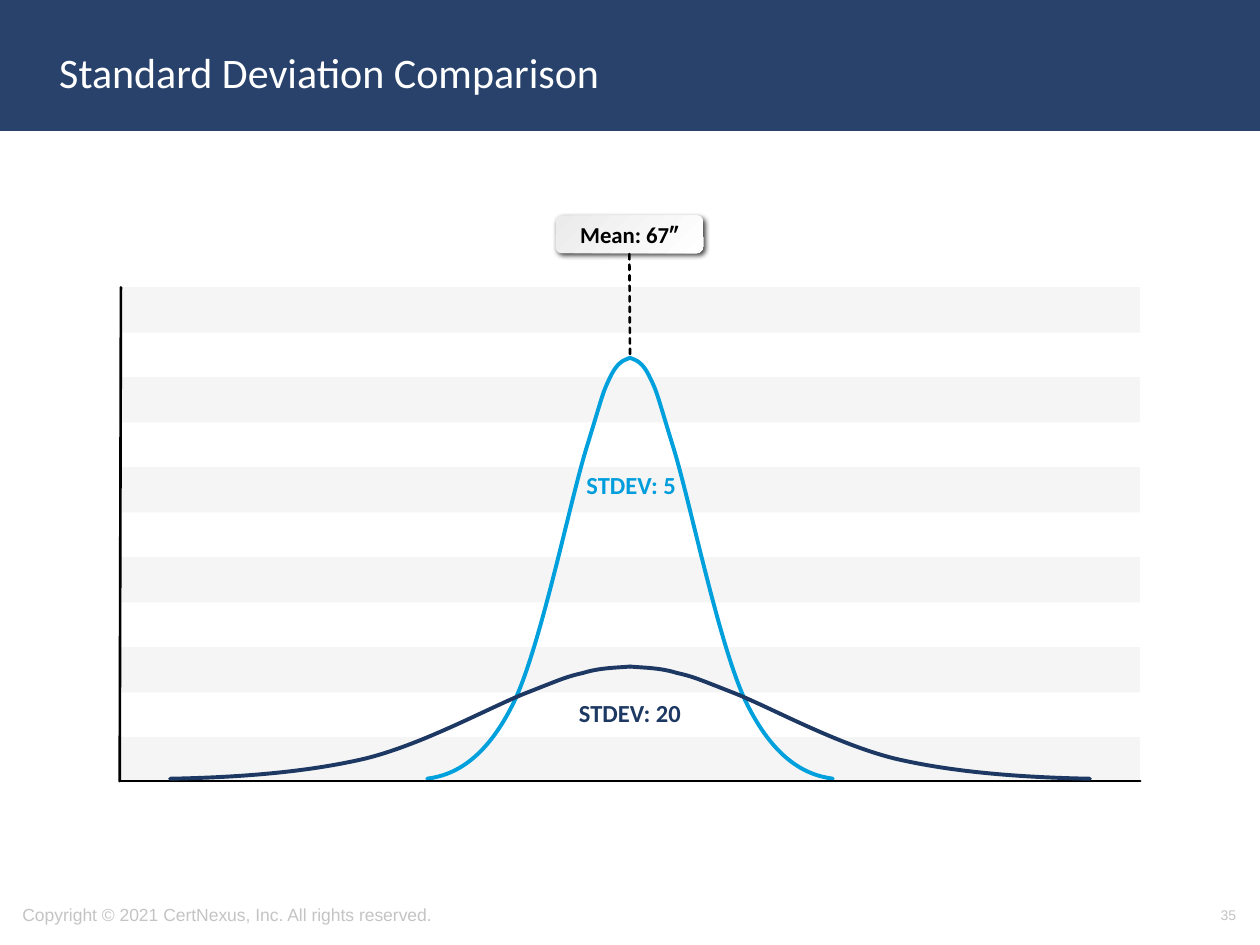
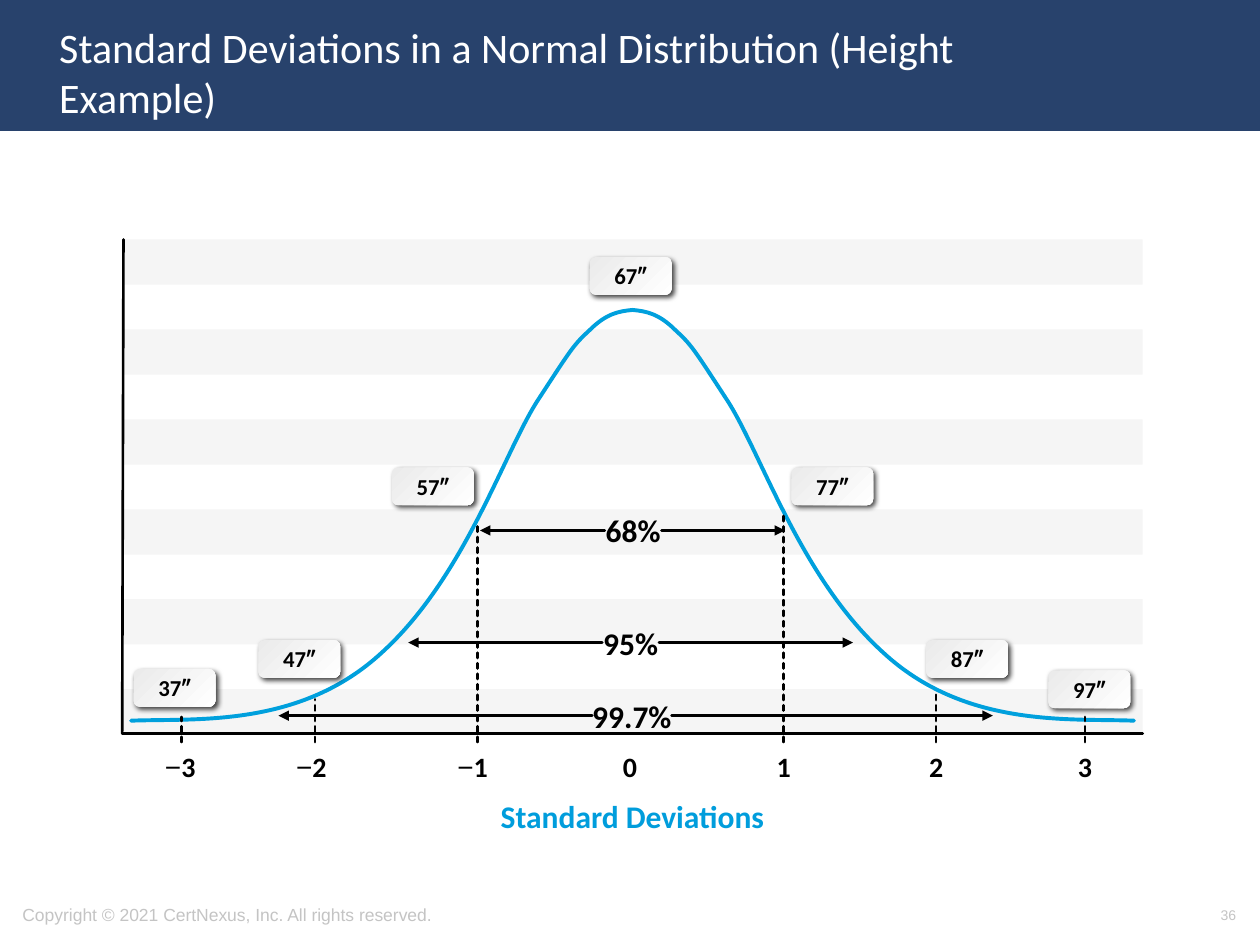
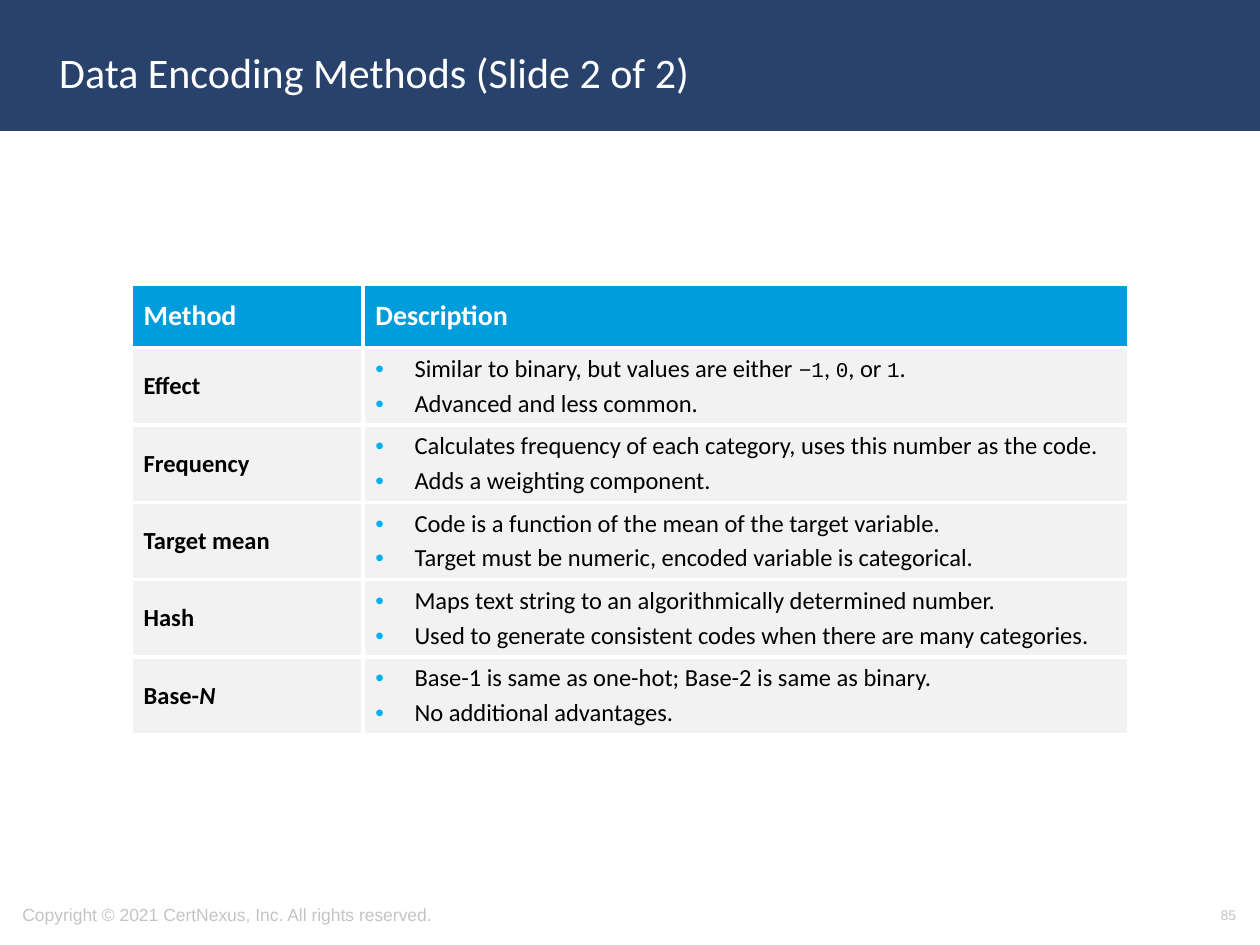
from lxml.etree import SubElement
from pptx import Presentation
from pptx.dml.color import RGBColor
from pptx.enum.dml import MSO_LINE
from pptx.enum.shapes import MSO_CONNECTOR, MSO_SHAPE
from pptx.enum.text import MSO_ANCHOR, MSO_AUTO_SIZE, PP_ALIGN
from pptx.oxml.ns import qn
from pptx.util import Inches, Pt

WHITE = RGBColor(0xFF, 0xFF, 0xFF)
BLACK = RGBColor(0, 0, 0)
BAND = RGBColor(0x28, 0x42, 0x6C)
NAVY = RGBColor(0x1C, 0x38, 0x63)
BLUE = RGBColor(0x00, 0x9D, 0xDC)
CURVE_BLUE = RGBColor(0x00, 0xA0, 0xDD)
BULLET_BLUE = RGBColor(0x00, 0xB0, 0xF0)
FOOTER_GREY = RGBColor(0xC4, 0xC4, 0xC4)
BADGE_GREY = RGBColor(0xEB, 0xEB, 0xEB)
CELL_GREY = RGBColor(0xF2, 0xF2, 0xF2)

BODY_FONT = "Calibri"
COPYRIGHT = "Copyright © 2021 CertNexus, Inc. All rights reserved."
MINUS = ("−", {"name": "Arial", "bold": False})
PLOT_WIDTH, PLOT_HEIGHT = 8.1, 3.92
STRIPE_COUNT, STRIPE_HEIGHT, STRIPE_REACH = 6, 0.36, 3.57
BADGE_HEIGHT = 0.3
TABLE_HEIGHT, HEADER_HEIGHT = 3.57, 0.5

NARROW_CURVE = [(3.39, 6.18), (3.63, 6.15), (3.87, 6), (4.08, 5.57), (4.29, 5.13), (4.52, 4),
                (4.65, 3.57), (4.78, 3.15), (4.78, 3.12), (4.84, 3), (4.9, 2.87), (4.95, 2.86),
                (5, 2.84)]
WIDE_CURVE = [(1.35, 6.18), (1.89, 6.17), (2.43, 6.13), (2.9, 6.02), (3.38, 5.9), (3.91, 5.6),
              (4.2, 5.49), (4.48, 5.38), (4.5, 5.37), (4.63, 5.34), (4.76, 5.3), (4.88, 5.3),
              (5, 5.29)]
HEIGHT_CURVE = [(1.04, 5.72), (1.55, 5.7), (2.38, 5.78), (3.03, 5.18), (3.68, 4.59), (3.99, 3.62),
                (4.26, 3.19), (4.54, 2.76), (4.55, 2.74), (4.68, 2.62), (4.81, 2.49), (4.91, 2.47),
                (5.02, 2.46)]
HEIGHT_BADGES = [("67″", 4.68, 2.04), ("57″", 3.11, 3.71), ("77″", 6.28, 3.71), ("47″", 2.05, 5.08),
                 ("87″", 7.35, 5.08), ("37″", 1.06, 5.31), ("97″", 8.32, 5.32)]
TICK_LABELS = [([MINUS, "3"], 1.43), ([MINUS, "2"], 2.47), ([MINUS, "1"], 3.75), (["0"], 5),
               (["1"], 6.22), (["2"], 7.43), (["3"], 8.61)]
DEVIATION_MARKS = [(1.44, 5.69), (2.5, 5.55), (3.79, 4.15), (6.22, 4.09), (7.43, 5.5), (8.61, 5.69)]
RANGES = [("68%", 4.21, 3.81, 4.8, 5.25, 6.23), ("95%", 5.1, 3.24, 4.78, 5.23, 6.77),
          ("99.7%", 5.68, 2.21, 4.7, 5.33, 7.88)]

CODE = {"name": "Courier New", "size": Pt(12)}
METHODS = [
    (["Effect"], [["Similar to binary, but values are either ", ("−1", CODE), ", ", ("0", CODE),
                   ", or ", ("1", CODE), "."],
                  ["Advanced and less common."]]),
    (["Frequency"], [["Calculates frequency of each category, uses this number as the code."],
                     ["Adds a weighting component."]]),
    (["Target mean"], [["Code is a function of the mean of the target variable."],
                       ["Target must be numeric, encoded variable is categorical."]]),
    (["Hash"], [["Maps text string to an algorithmically determined number."],
                ["Used to generate consistent codes when there are many categories."]]),
    (["Base-", ("N", {"italic": True})], [["Base-1 is same as one-hot; Base-2 is same as binary."],
                                         ["No additional advantages."]]),
]


def inches(*lengths):
    """Convert several lengths to Inches."""
    return [Inches(length) for length in lengths]


def write(para, spans, size, color, bold=False, name=BODY_FONT, align=PP_ALIGN.LEFT):
    """Fill a paragraph with spans, each a string or a (string, font changes) pair."""
    para.alignment = align
    font = para.font
    font.name, font.size, font.bold = name, Pt(size), bold
    font.color.rgb = color
    for span in spans:
        text, changes = (span, {}) if isinstance(span, str) else span
        run = para.add_run()
        run.text = text
        for attribute, value in changes.items():
            setattr(run.font, attribute, value)


def add_text(page, place, spans, size, color, anchor=MSO_ANCHOR.TOP, **style):
    """Add a wrapping text box with one paragraph."""
    box = page.shapes.add_textbox(*inches(*place))
    frame = box.text_frame
    frame.word_wrap = True
    frame.vertical_anchor = anchor
    write(frame.paragraphs[0], spans, size, color, **style)
    return box


def add_label(page, center, top, spans, size, color=BLACK, width=2.11):
    """Add a bold label centred on a horizontal position."""
    add_text(page, (center - width / 2, top, width, size / 60 + 0.1), spans, size, color,
             bold=True, align=PP_ALIGN.CENTER)


def add_block(page, place, fill, alpha=None):
    """Add a plain rectangle, optionally with an opacity in percent."""
    block = page.shapes.add_shape(MSO_SHAPE.RECTANGLE, *inches(*place))
    block.shadow.inherit = False
    block.fill.solid()
    block.fill.fore_color.rgb = fill
    block.line.fill.background()
    if alpha is not None:
        color = block.element.spPr.find(qn("a:solidFill"))[0]
        SubElement(color, qn("a:alpha"), val=str(alpha * 1000))
    return block


def style_stroke(shape, color, width):
    """Set the colour and width of a stroke and return it with round ends."""
    shape.line.color.rgb = color
    shape.line.width = Pt(width)
    stroke = shape.element.spPr.find(qn("a:ln"))
    stroke.set("cap", "rnd")
    return stroke


def add_line(page, start, end, dashed=False, arrow=False):
    """Add a straight black line, optionally dashed or with an arrowhead at its end."""
    line = page.shapes.add_connector(MSO_CONNECTOR.STRAIGHT, *inches(*start, *end))
    stroke = style_stroke(line, BLACK, 1.5)
    if dashed:
        line.line.dash_style = MSO_LINE.SQUARE_DOT
    if arrow:
        SubElement(stroke, qn("a:tailEnd"), type="triangle")
    SubElement(line.element.spPr, qn("a:effectLst"))
    return line


def add_badge(page, text, left, top, width=0.65):
    """Add a rounded badge with a soft gradient and a drop shadow."""
    badge = page.shapes.add_shape(MSO_SHAPE.ROUNDED_RECTANGLE,
                                  *inches(left, top, width, BADGE_HEIGHT))
    badge.shadow.inherit = False
    badge.fill.gradient()
    badge.fill.gradient_angle = 315
    for stop, color in zip(badge.fill.gradient_stops, (BADGE_GREY, WHITE)):
        stop.color.rgb = color
    badge.line.fill.background()
    effects = badge.element.spPr.find(qn("a:effectLst"))
    shadow = SubElement(effects, qn("a:outerShdw"), blurRad=str(Pt(3)), dist=str(Pt(2)),
                        dir="2700000", algn="tl", rotWithShape="0")
    color = SubElement(shadow, qn("a:srgbClr"), val=str(BLACK))
    SubElement(color, qn("a:alpha"), val="75000")
    badge.text_frame.vertical_anchor = MSO_ANCHOR.MIDDLE
    write(badge.text_frame.paragraphs[0], [text], 13, BLACK, bold=True, align=PP_ALIGN.CENTER)
    return badge


def add_curve(page, points, color):
    """Draw a chain of cubic Bezier curves through every third point."""
    start, *rest = [inches(*point) for point in points]
    builder = page.shapes.build_freeform(*start)
    builder.add_line_segments(rest, close=False)
    curve = builder.convert_to_shape()
    curve.shadow.inherit = False
    curve.fill.background()
    style_stroke(curve, color, 2.25)
    segments = list(curve.element.iter(qn("a:lnTo")))
    outline = segments[0].getparent()
    for first in range(0, len(segments), 3):
        bezier = SubElement(outline, qn("a:cubicBezTo"))
        for segment in segments[first:first + 3]:
            bezier.append(segment[0])
            outline.remove(segment)


def add_bell(page, left_half, color):
    """Draw a bell curve from its left half and the mirror of it."""
    peak = left_half[-1][0]
    add_curve(page, left_half, color)
    add_curve(page, [(2 * peak - x, y) for x, y in left_half], color)


def add_stripes(page, left, top):
    """Draw the striped background of a plot."""
    add_block(page, (left, top, PLOT_WIDTH, PLOT_HEIGHT), WHITE)
    for index in reversed(range(STRIPE_COUNT)):
        stripe_top = top + index * STRIPE_REACH / (STRIPE_COUNT - 1)
        add_block(page, (left, stripe_top, PLOT_WIDTH, STRIPE_HEIGHT), BLACK, alpha=4)


def add_axes(page, left, top):
    """Draw the two axes of a plot."""
    bottom = top + PLOT_HEIGHT
    add_line(page, (left, bottom), (left + 0.01, top))
    add_line(page, (left, bottom), (left + PLOT_WIDTH, bottom))


def add_page(deck, title, number):
    """Add a slide with its title and number."""
    page = deck.slides.add_slide(deck.slide_layouts[5])
    heading = page.shapes.title
    heading.left, heading.top, heading.width, heading.height = inches(0.37, 0.11, 8.62, 0.92)
    frame = heading.text_frame
    frame.auto_size = MSO_AUTO_SIZE.NONE
    frame.word_wrap = True
    frame.vertical_anchor = MSO_ANCHOR.MIDDLE
    write(frame.paragraphs[0], [title], 24, WHITE)
    add_text(page, (7.58, 7.06, 2.33, 0.4), [str(number)], 8, FOOTER_GREY,
             anchor=MSO_ANCHOR.MIDDLE, name="Arial", align=PP_ALIGN.RIGHT)
    return page


def add_shared_parts(page):
    """Put the band and the copyright line on the layout of a slide."""
    band = add_block(page, (0, 0, 10, 1.03), BAND)
    band.line.color.rgb = BAND
    band.line.width = Pt(2)
    footer = add_text(page, (0.08, 7.06, 5.27, 0.4), [COPYRIGHT], 10, FOOTER_GREY,
                      anchor=MSO_ANCHOR.MIDDLE, name="Arial")
    layout_title = page.slide_layout.placeholders[0].element
    for shape_id, shape in enumerate((band, footer), start=101):
        shape.element.nvSpPr.cNvPr.set("id", str(shape_id))
        layout_title.addprevious(shape.element)


def add_bullet(para):
    """Give a paragraph a blue bullet and a hanging indent."""
    properties = para._p.get_or_add_pPr()
    properties.set("marL", str(Inches(0.31)))
    properties.set("indent", str(Inches(-0.31)))
    color = SubElement(properties, qn("a:buClr"))
    SubElement(color, qn("a:srgbClr"), val=str(BULLET_BLUE))
    SubElement(properties, qn("a:buFont"), typeface="Arial")
    SubElement(properties, qn("a:buChar"), char="•")


def fill_cell(cell, lines, size, color, fill, bold=False, bullets=False):
    """Write lines into a table cell with a fill and white borders."""
    cell.vertical_anchor = MSO_ANCHOR.MIDDLE
    properties = cell._tc.get_or_add_tcPr()
    for side in ("lnL", "lnR", "lnT", "lnB"):
        border = SubElement(properties, qn(f"a:{side}"), w=str(Pt(2.25)))
        SubElement(SubElement(border, qn("a:solidFill")), qn("a:srgbClr"), val=str(WHITE))
    cell.fill.solid()
    cell.fill.fore_color.rgb = fill
    frame = cell.text_frame
    for index, spans in enumerate(lines):
        para = frame.add_paragraph() if index else frame.paragraphs[0]
        if bullets:
            add_bullet(para)
        if index:
            para.space_before = Pt(0.2 * size)
        write(para, spans, size, color, bold=bold)


def add_methods_table(page):
    """Add the table of encoding methods."""
    place = inches(1.04, 2.26, 7.92, TABLE_HEIGHT)
    table = page.shapes.add_table(len(METHODS) + 1, 2, *place).table
    table.horz_banding = False
    for column, width in zip(table.columns, (1.84, 6.08)):
        column.width = Inches(width)
    method_height = (TABLE_HEIGHT - HEADER_HEIGHT) / len(METHODS)
    for index, row in enumerate(table.rows):
        row.height = Inches(method_height if index else HEADER_HEIGHT)
    for column, heading in enumerate(("Method", "Description")):
        fill_cell(table.cell(0, column), [[heading]], 16, WHITE, BLUE, bold=True)
    for row, (method, notes) in enumerate(METHODS, start=1):
        fill_cell(table.cell(row, 0), [method], 14, BLACK, CELL_GREY, bold=True)
        fill_cell(table.cell(row, 1), notes, 14, BLACK, CELL_GREY, bullets=True)


def build_comparison(deck):
    """Build the slide that compares two standard deviations."""
    page = add_page(deck, "Standard Deviation Comparison", 35)
    add_shared_parts(page)
    add_stripes(page, 0.95, 2.28)
    add_bell(page, NARROW_CURVE, CURVE_BLUE)
    add_axes(page, 0.95, 2.28)
    badge = add_badge(page, "Mean: 67″", 4.41, 1.71, width=1.17)
    mean_line = add_line(page, (5, 2.81), (5, 2.01), dashed=True)
    mean_line.end_connect(badge, 2)
    add_label(page, 5.01, 3.68, ["STDEV: 5"], 14, BLUE, width=1.63)
    add_label(page, 5, 5.49, ["STDEV: 20"], 14, NAVY, width=1.63)
    add_bell(page, WIDE_CURVE, NAVY)


def build_distribution(deck):
    """Build the slide with the normal distribution of heights."""
    page = add_page(deck, "Standard Deviations in a Normal Distribution (Height Example)", 36)
    add_stripes(page, 0.97, 1.9)
    add_bell(page, HEIGHT_CURVE, CURVE_BLUE)
    add_axes(page, 0.97, 1.9)
    add_label(page, 5.02, 6.28, ["Standard Deviations"], 18, BLUE, width=2.41)
    for x, top in DEVIATION_MARKS:
        add_line(page, (x, 5.89), (x, top), dashed=True)
    for spans, center in TICK_LABELS:
        add_label(page, center, 5.9, spans, 16)
    for text, y, left_tip, left_start, right_start, right_tip in RANGES:
        add_label(page, (left_start + right_start) / 2, y - 0.2, [text], 18, width=2.41)
        add_line(page, (right_start, y), (right_tip, y), arrow=True)
        add_line(page, (left_start, y), (left_tip, y), arrow=True)
    for text, left, top in HEIGHT_BADGES:
        add_badge(page, text, left, top)


def build_methods(deck):
    """Build the slide with the encoding methods."""
    page = add_page(deck, "Data Encoding Methods (Slide 2 of 2)", 85)
    add_methods_table(page)


def main():
    """Build the deck and save it."""
    deck = Presentation()
    deck.slide_width, deck.slide_height = inches(10, 7.5)
    build_comparison(deck)
    build_distribution(deck)
    build_methods(deck)
    deck.save("out.pptx")


if __name__ == "__main__":
    main()
